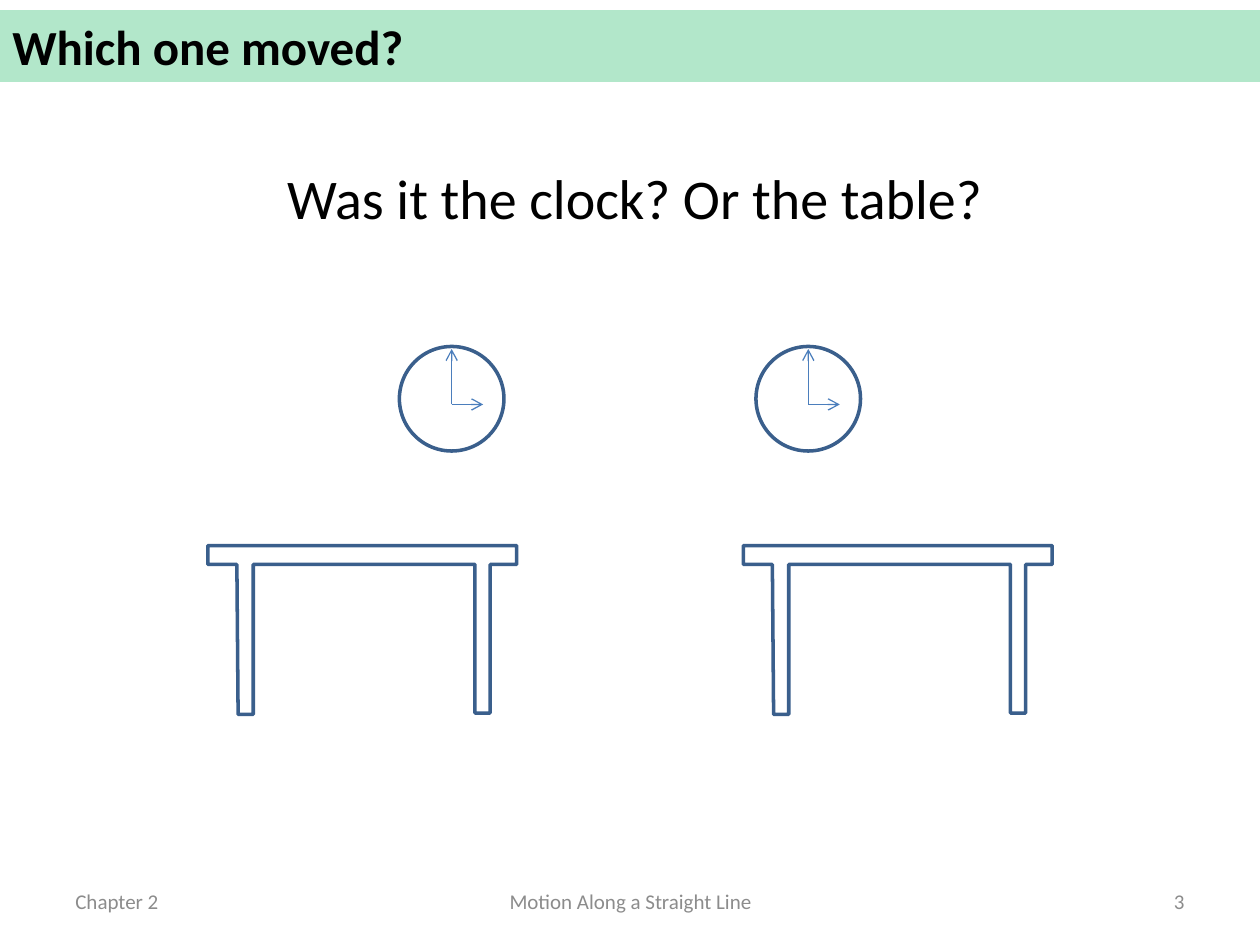
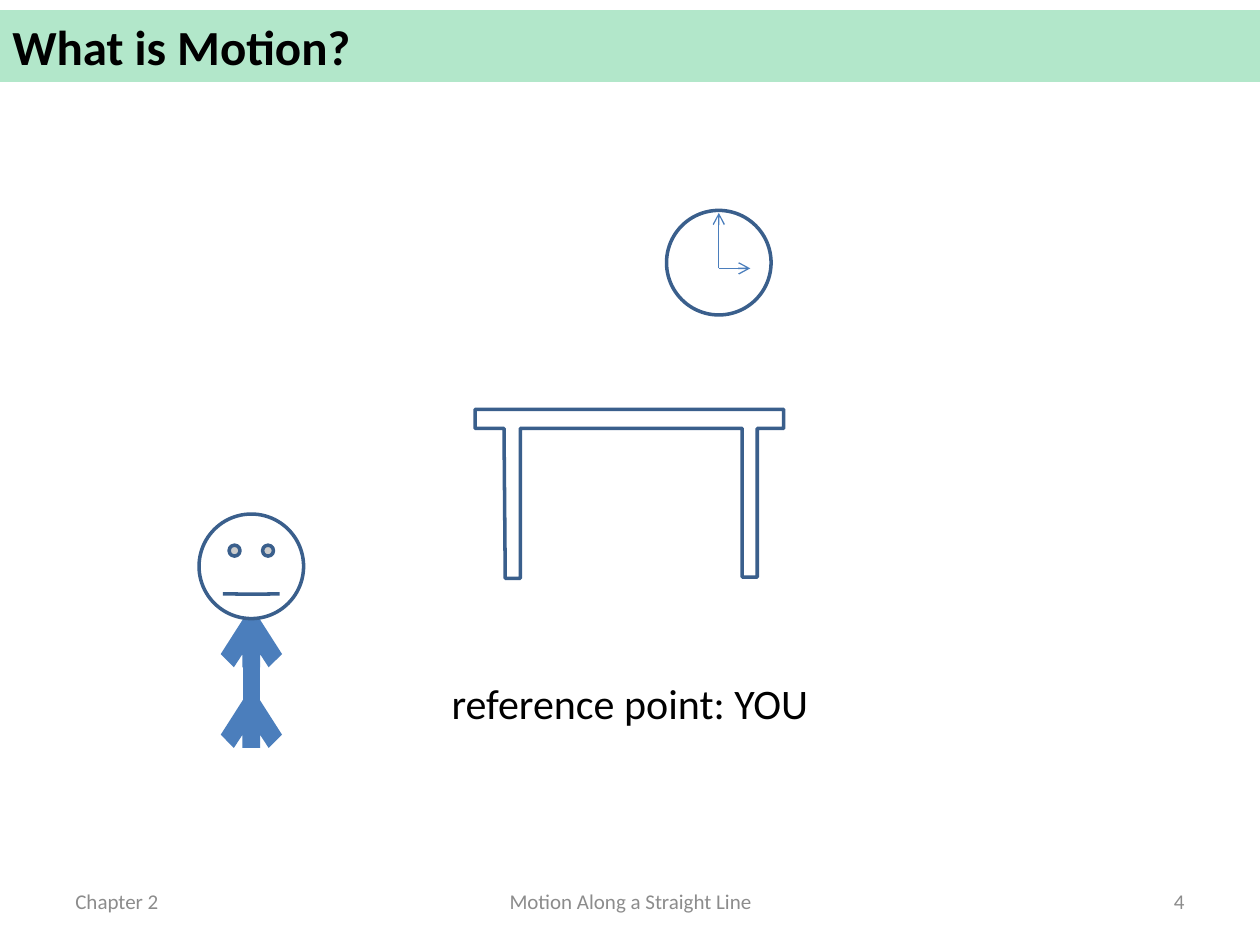
import pptx
import pptx.util
import pptx.dml.color
import pptx.enum.shapes
import pptx.enum.text
import pptx.oxml.ns
import lxml.etree

W, H = 10, 7.5
FONT = "Calibri"
BLACK, WHITE, GREY = "000000", "FFFFFF", "8C8C8C"
GREEN, OUTLINE, BLUE = "00B050", "3A5F8C", "4B7EBC"
BAND_ALPHA = 30
CLOCK = 0.83          # diameter of clock and head
CLOCK_RISE = 1.58     # clock top above table top
CLOCK_RIGHT, CLOCK_LEFT = 1.52, 0.1   # clock offset along the table
TABLE_OUTLINE = [(0, 0), (0, 0.15), (0.23, 0.15), (0.24, 1.34), (0.36, 1.34),
                 (0.36, 0.15), (2.12, 0.15), (2.12, 1.33), (2.24, 1.33),
                 (2.24, 0.15), (2.45, 0.15), (2.45, 0)]

FOOTERS = [("Chapter 2", 0.5, 2.33, "LEFT"),
           ("Motion Along a Straight Line", 3.42, 3.17, "CENTER"),
           ("{number}", 7.17, 2.33, "RIGHT")]

# scenes: table left, table top, clock offset; caption: text, box, size
SLIDES = [
    {"number": 3, "title": "Which one moved?",
     "caption": ("Was it the clock? Or the table?", (0.75, 1.25, 8.58, 0.64), 32),
     "scenes": [(1.65, 4.33, CLOCK_RIGHT), (5.9, 4.33, CLOCK_LEFT)],
     "observer": None},
    {"number": 4, "title": "What is Motion?",
     "caption": ("reference point: YOU", (3.46, 5.33, 3.08, 0.5), 24),
     "scenes": [(3.77, 3.25, CLOCK_RIGHT)],
     "observer": (1.58, 4.08)},
]


def inches(*values):
    """Convert inches to a list of lengths."""
    return [pptx.util.Inches(v) for v in values]


def rgb(color):
    """Turn a hex string into a colour."""
    return pptx.dml.color.RGBColor.from_string(color)


def child(parent, tag, **attributes):
    """Append a DrawingML element."""
    return lxml.etree.SubElement(parent, pptx.oxml.ns.qn(tag), attributes)


def write(sp, text, size, color=BLACK, bold=False, align="LEFT", anchor="TOP"):
    """Put one formatted paragraph into a shape."""
    tf = sp.text_frame
    tf.word_wrap = True
    tf.vertical_anchor = getattr(pptx.enum.text.MSO_ANCHOR, anchor)
    p = tf.paragraphs[0]
    p.alignment = getattr(pptx.enum.text.PP_ALIGN, align)
    r = p.add_run()
    r.text = text
    r.font.name, r.font.size, r.font.bold = FONT, pptx.util.Pt(size), bold
    r.font.color.rgb = rgb(color)


def outline(sp, fill=None):
    """Give a shape the drawing outline and an optional fill."""
    sp.shadow.inherit = False
    sp.line.color.rgb = rgb(OUTLINE)
    sp.line.width = pptx.util.Pt(2)
    if fill:
        sp.fill.solid()
        sp.fill.fore_color.rgb = rgb(fill)
    else:
        sp.fill.background()


def arrow(shapes, start, end, width):
    """Draw a straight line with an open arrowhead at its end."""
    c = shapes.add_connector(pptx.enum.shapes.MSO_CONNECTOR.STRAIGHT,
                             *inches(*start, *end))
    c.line.color.rgb = rgb(BLUE)
    c.line.width = pptx.util.Pt(width)
    child(c.line._get_or_add_ln(), "a:tailEnd", type="arrow")
    child(c._element.spPr, "a:effectLst")


def draw_clock(shapes, x, y):
    """Draw a clock showing three."""
    kind = pptx.enum.shapes.MSO_SHAPE.OVAL
    outline(shapes.add_shape(kind, *inches(x, y, CLOCK, CLOCK)))
    center = (x + CLOCK / 2, y + 0.46)
    arrow(shapes, center, (center[0], y + 0.02), 0.75)
    arrow(shapes, center, (center[0] + 0.25, center[1]), 0.75)


def draw_scene(s, x, y, clock_offset):
    """Draw a grouped table with a clock above it."""
    shapes = s.shapes.add_group_shape().shapes
    points = [inches(x + dx, y + dy) for dx, dy in TABLE_OUTLINE]
    builder = shapes.build_freeform(*points[0])
    builder.add_line_segments(points[1:], close=True)
    outline(builder.convert_to_shape())
    draw_clock(shapes, x + clock_offset, y - CLOCK_RISE)


def draw_observer(s, x, y):
    """Draw a stick figure: arrows make arms and legs."""
    shapes = s.shapes.add_group_shape().shapes
    middle = x + CLOCK / 2
    arrow(shapes, (middle, y + 1.51), (middle, y + 0.73), 10)
    head = shapes.add_shape(pptx.enum.shapes.MSO_SHAPE.SMILEY_FACE,
                            *inches(x, y, CLOCK, CLOCK))
    head.adjustments[0] = 0.001
    outline(head, WHITE)
    arrow(shapes, (middle, y + 1.47), (middle, y + 1.37), 10)


def draw_frame(s, title, number):
    """Draw the title band and the footers."""
    band = s.shapes.add_shape(pptx.enum.shapes.MSO_SHAPE.RECTANGLE,
                              *inches(0, 0.08, W, 0.57))
    band.shadow.inherit = False
    band.line.fill.background()
    band.fill.solid()
    band.fill.fore_color.rgb = rgb(GREEN)
    color = band._element.spPr.find(".//" + pptx.oxml.ns.qn("a:srgbClr"))
    child(color, "a:alpha", val=str(BAND_ALPHA * 1000))
    write(band, title, 28, bold=True, align="JUSTIFY")
    for text, left, width, align in FOOTERS:
        box = s.shapes.add_textbox(*inches(left, 6.95, width, 0.4))
        write(box, text.format(number=number), 12, color=GREY, align=align,
              anchor="MIDDLE")


def main():
    """Build both slides and save them."""
    prs = pptx.Presentation()
    prs.slide_width, prs.slide_height = inches(W, H)
    for content in SLIDES:
        s = prs.slides.add_slide(prs.slide_layouts[6])
        draw_frame(s, content["title"], content["number"])
        for scene in content["scenes"]:
            draw_scene(s, *scene)
        if content["observer"]:
            draw_observer(s, *content["observer"])
        text, box, size = content["caption"]
        write(s.shapes.add_textbox(*inches(*box)), text, size, align="CENTER")
    prs.save("out.pptx")


main()
